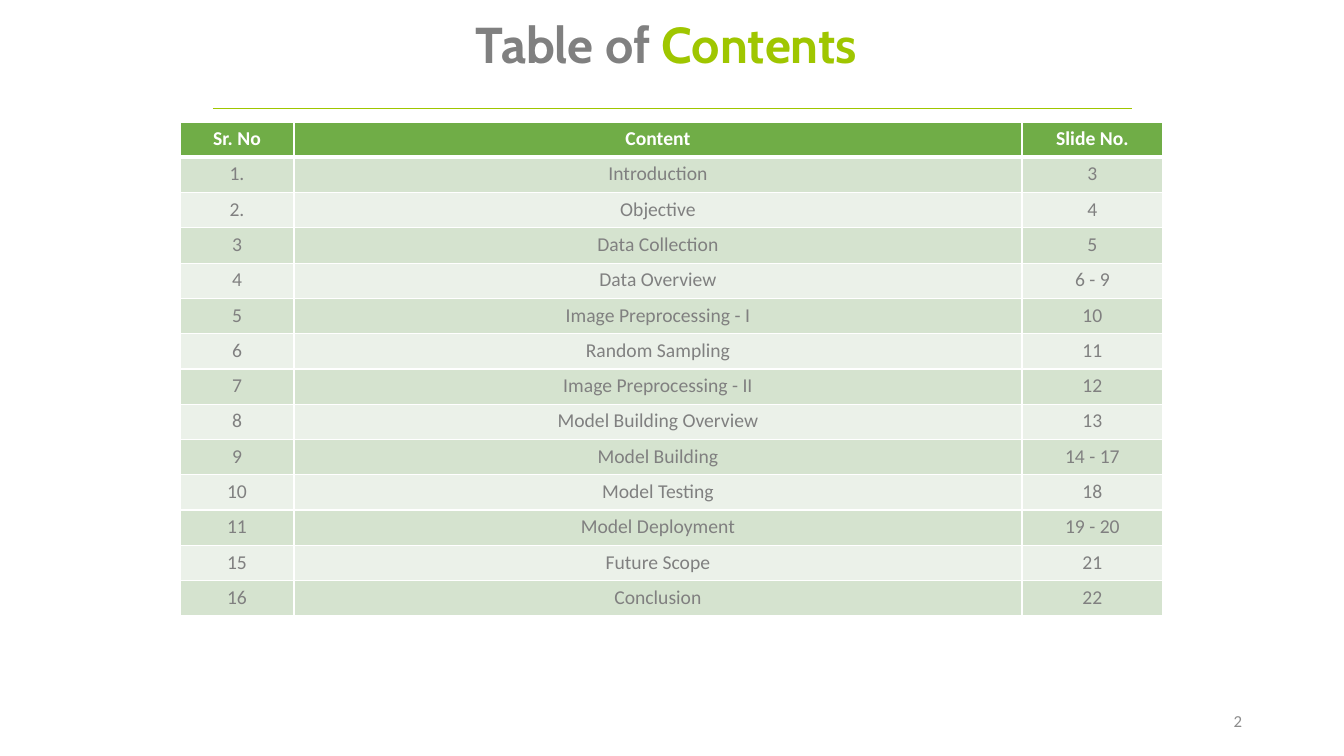
from dataclasses import dataclass

from lxml import etree
from pptx import Presentation
from pptx import util as u
from pptx.dml.color import RGBColor
from pptx.enum import shapes, text
from pptx.oxml import ns

EMU_PER_PX = 914400 / 100.8

COLOURS = {
    "grey": "808080",
    "lime": "9FC600",
    "header": "70AD47",
    "band_dark": "D5E3CF",
    "band_light": "EBF1E9",
    "white": "FFFFFF",
    "number": "8C8C8C",
}

FORMATS = {
    "title": {"name": "Cabin", "size": u.Pt(36), "bold": True},
    "header": {"name": "Calibri", "size": u.Pt(14), "bold": True},
    "body": {"name": "Calibri", "size": u.Pt(14), "bold": False},
    "number": {"name": "Calibri", "size": u.Pt(12), "bold": False},
}


@dataclass
class Box:
    left: int
    top: int
    width: int
    height: int

    def emu(self) -> list[int]:
        return [px(n) for n in (self.left, self.top, self.width, self.height)]


@dataclass
class Label:
    box: Box
    runs: list[tuple[str, str]]
    style: str
    align: text.PP_ALIGN
    anchor: text.MSO_ANCHOR
    line_spacing: float = 1.0


@dataclass
class Entry:
    number: str
    content: str
    slides: str


LABELS = [
    Label(Box(87, 15, 1159, 77), [("Table of ", "grey"), ("Contents", "lime")],
          "title", text.PP_ALIGN.CENTER, text.MSO_ANCHOR.TOP, 0.9),
    Label(Box(950, 701, 302, 40), [("2", "number")],
          "number", text.PP_ALIGN.RIGHT, text.MSO_ANCHOR.MIDDLE),
]

TABLE_BOX = Box(180, 122, 983, 494)
COLUMN_WIDTHS = [114, 728, 141]
ENTRIES = [
    Entry("Sr. No", "Content", "Slide No."),
    Entry("1.", "Introduction", "3"),
    Entry("2.", "Objective", "4"),
    Entry("3", "Data Collection", "5"),
    Entry("4", "Data Overview", "6 - 9"),
    Entry("5", "Image Preprocessing - I", "10"),
    Entry("6", "Random Sampling", "11"),
    Entry("7", "Image Preprocessing - II", "12"),
    Entry("8", "Model Building Overview", "13"),
    Entry("9", "Model Building", "14 - 17"),
    Entry("10", "Model Testing", "18"),
    Entry("11", "Model Deployment", "19 - 20"),
    Entry("15", "Future Scope", "21"),
    Entry("16", "Conclusion", "22"),
]


def px(length: float) -> int:
    return round(length * EMU_PER_PX)


def colour(name: str) -> RGBColor:
    return RGBColor.from_string(COLOURS[name])


def add_run(paragraph, words: str, style: str, colour_name: str) -> None:
    run = paragraph.add_run()
    run.text = words
    for attribute, value in FORMATS[style].items():
        setattr(run.font, attribute, value)
    run.font.color.rgb = colour(colour_name)


def add_label(slide, label: Label) -> None:
    frame = slide.shapes.add_textbox(*label.box.emu()).text_frame
    frame.word_wrap = True
    frame.vertical_anchor = label.anchor
    paragraph = frame.paragraphs[0]
    paragraph.alignment = label.align
    paragraph.line_spacing = label.line_spacing
    for words, colour_name in label.runs:
        add_run(paragraph, words, label.style, colour_name)


def add_rule(slide, left: int, right: int, y: int) -> None:
    rule = slide.shapes.add_connector(
        shapes.MSO_CONNECTOR.STRAIGHT, px(left), px(y), px(right), px(y))
    rule.line.color.rgb = colour("lime")
    rule.line.width = u.Pt(0.75)
    etree.SubElement(rule.element.spPr, ns.qn("a:effectLst"))


def set_borders(cell, points: dict[str, int]) -> None:
    """Draw white borders; they must come before the fill in the cell's XML."""
    properties = cell._tc.get_or_add_tcPr()
    for position, (side, width) in enumerate(points.items()):
        border = etree.Element(ns.qn(f"a:ln{side}"), w=str(u.Pt(width)))
        fill = etree.SubElement(border, ns.qn("a:solidFill"))
        etree.SubElement(fill, ns.qn("a:srgbClr"), val=COLOURS["white"])
        properties.insert(position, border)


def add_contents_table(slide) -> None:
    table = slide.shapes.add_table(
        len(ENTRIES), len(COLUMN_WIDTHS), *TABLE_BOX.emu()).table
    for column, width in zip(table.columns, COLUMN_WIDTHS):
        column.width = px(width)
    for index, entry in enumerate(ENTRIES):
        table.rows[index].height = px(TABLE_BOX.height / len(ENTRIES))
        is_header = index == 0
        style, ink = ("header", "white") if is_header else ("body", "grey")
        band = "band_dark" if index % 2 else "band_light"
        borders = {"L": 1, "R": 1, "T": 3 if index == 1 else 1,
                   "B": 3 if is_header else 1}
        words = (entry.number, entry.content, entry.slides)
        for cell, value in zip(table.rows[index].cells, words):
            cell.fill.solid()
            cell.fill.fore_color.rgb = colour("header" if is_header else band)
            set_borders(cell, borders)
            paragraph = cell.text_frame.paragraphs[0]
            paragraph.alignment = text.PP_ALIGN.CENTER
            add_run(paragraph, value, style, ink)


def main() -> None:
    presentation = Presentation()
    presentation.slide_width = px(1344)
    presentation.slide_height = px(756)
    slide = presentation.slides.add_slide(presentation.slide_layouts[6])
    add_rule(slide, 213, 1132, 109)
    add_contents_table(slide)
    for label in LABELS:
        add_label(slide, label)
    presentation.save("out.pptx")


if __name__ == "__main__":
    main()
